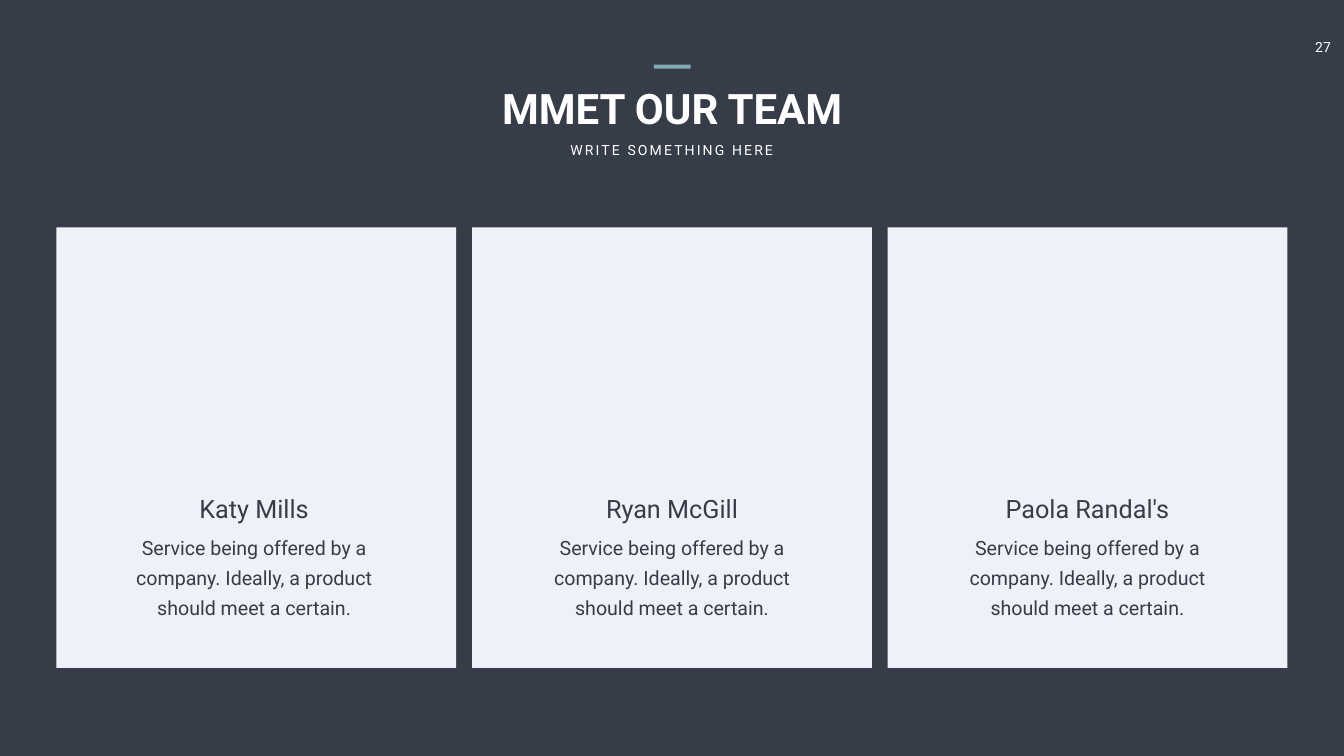
"""Build a team slide with three member cards."""
from dataclasses import dataclass

from pptx import Presentation
from pptx.dml.color import RGBColor
from pptx.enum.shapes import MSO_SHAPE
from pptx.enum.text import MSO_ANCHOR, MSO_AUTO_SIZE, PP_ALIGN
from pptx.shapes.base import BaseShape
from pptx.slide import Slide
from pptx.util import Inches, Pt

RECT = MSO_SHAPE.RECTANGLE
CENTER = PP_ALIGN.CENTER
TOP = MSO_ANCHOR.TOP
NO_FIT = MSO_AUTO_SIZE.NONE

FONT = "Roboto"
COLORS = {"dark": "363D48", "white": "FFFFFF", "accent": "84ACB6", "card": "EFF1F8"}
BIO = "Service being offered by a company. Ideally, a product should meet a certain."
CARD_LEFT, CARD_TOP, CARD_W, CARD_H, CARD_GAP = 1.12, 4.51, 7.93, 8.74, 0.315


@dataclass
class Box:
    left: float
    top: float
    width: float
    height: float


@dataclass
class Member:
    name: str
    center: float
    bio_width: float


MEMBERS = [
    Member("Katy Mills", 5.04, 5.39),
    Member("Ryan McGill", 13.33, 5.28),
    Member("Paola Randal's", 21.57, 5.41),
]


def rgb(name: str) -> RGBColor:
    return RGBColor.from_string(COLORS[name])


def place(sp: BaseShape, box: Box) -> None:
    sp.left, sp.top = Inches(box.left), Inches(box.top)
    sp.width, sp.height = Inches(box.width), Inches(box.height)


def write(sp: BaseShape, text: str, size: int, color: str, bold: bool = False,
          line: int | None = None, spacing: int = 0, wrap: bool = True) -> None:
    tf = sp.text_frame
    tf.word_wrap = wrap
    tf.auto_size = NO_FIT
    tf.vertical_anchor = TOP
    p = tf.paragraphs[0]
    r = p.add_run()
    r.text = text
    if spacing:
        r._r.get_or_add_rPr().set("spc", str(spacing * 100))
    p.alignment = CENTER
    if line:
        p.line_spacing = Pt(line)
    p.font.name, p.font.size, p.font.bold = FONT, Pt(size), bold
    p.font.color.rgb = rgb(color)


def add_text(s: Slide, box: Box, text: str, size: int, color: str, **style) -> BaseShape:
    sp = s.shapes.add_textbox(0, 0, 0, 0)
    place(sp, box)
    write(sp, text, size, color, **style)
    return sp


def add_rect(s: Slide, box: Box, color: str) -> None:
    sp = s.shapes.add_shape(RECT, 0, 0, 0, 0)
    place(sp, box)
    sp.fill.solid()
    sp.fill.fore_color.rgb = rgb(color)
    sp.line.fill.background()
    sp.shadow.inherit = False


def add_member(s: Slide, m: Member) -> None:
    add_text(s, Box(m.center - m.bio_width / 2, 10.45, m.bio_width, 1.84),
             BIO, 28, "dark", line=43)
    add_text(s, Box(m.center - 2.5, 9.74, 5, 0.71), m.name, 36, "dark")


def main() -> None:
    prs = Presentation()
    prs.slide_width, prs.slide_height = Inches(26.66), Inches(15)
    s = prs.slides.add_slide(prs.slide_layouts[5])
    s.background.fill.solid()
    s.background.fill.fore_color.rgb = rgb("dark")

    title = s.shapes.title
    place(title, Box(8.18, 1.59, 10.31, 1.11))
    write(title, "MMET OUR TEAM", 60, "white", bold=True)
    number = add_text(s, Box(25.79, 0.67, 0.91, 0.54), "27", 20, "white", wrap=False)
    number.text_frame.margin_top = Inches(0.1)
    add_text(s, Box(11.15, 2.75, 4.35, 0.44), "WRITE SOMETHING HERE", 20, "white",
             spacing=3, wrap=False)
    add_rect(s, Box(12.97, 1.28, 0.73, 0.08), "accent")

    for i in range(len(MEMBERS)):
        left = CARD_LEFT + i * (CARD_W + CARD_GAP)
        add_rect(s, Box(left, CARD_TOP, CARD_W, CARD_H), "card")
    for member in MEMBERS:
        add_member(s, member)

    prs.save("out.pptx")


if __name__ == "__main__":
    main()
